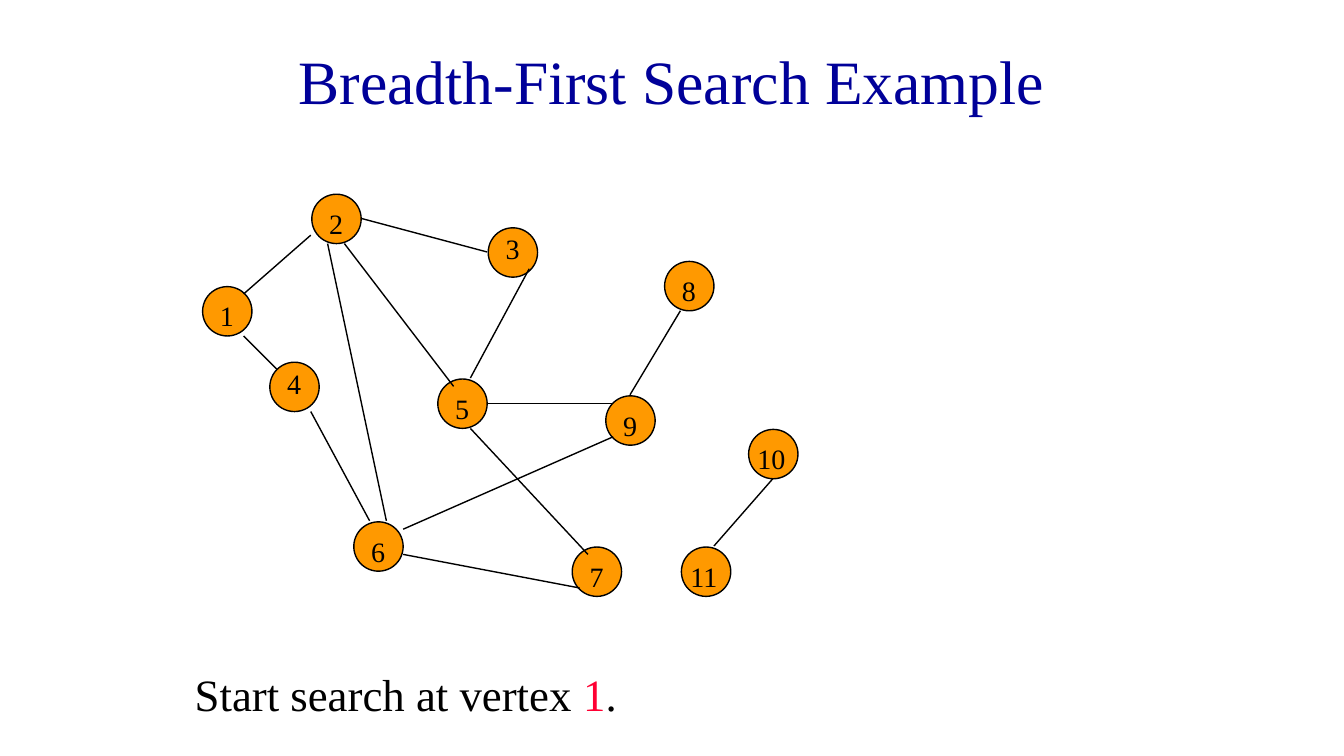
from lxml.etree import SubElement
from pptx import Presentation
from pptx.dml.color import RGBColor
from pptx.enum.shapes import MSO_CONNECTOR, MSO_SHAPE
from pptx.enum.text import MSO_ANCHOR, PP_ALIGN
from pptx.oxml.ns import qn
from pptx.util import Pt

PX = 9525
FONT = "Times New Roman"
BLACK, NAVY, RED, ORANGE = "000000", "000099", "FF0033", "FF9900"

TITLE = [("Breadth-First Search Example", NAVY)]
NOTE = [("Start search at vertex ", BLACK), ("1", RED), (".", BLACK)]

# Vertex: left and top of its cell, label offset, label width
NODES = {
    "1": (192, 272, 8, 8, 24),
    "2": (296, 184, 8, 8, 24),
    "3": (464, 216, 8, 0, 24),
    "8": (632, 248, 8, 8, 24),
    "10": (712, 408, 0, 8, 48),
    "4": (256, 344, 8, 0, 24),
    "5": (416, 360, 8, 8, 24),
    "9": (576, 376, 8, 8, 24),
    "11": (648, 520, 0, 8, 80),
    "6": (336, 496, 8, 8, 24),
    "7": (544, 520, 8, 8, 24),
}
SIZE, EDGE = 47, 1

# Edge ends: x1, y1, x2, y2
LINKS = [
    (296, 224, 232, 280),  # 2-1
    (328, 232, 432, 368),  # 2-5
    (232, 320, 264, 352),  # 1-4
    (296, 392, 352, 496),  # 4-6
    (384, 528, 552, 560),  # 6-7
    (504, 256, 448, 360),  # 3-5
    (448, 408, 560, 528),  # 5-7
    (648, 296, 600, 376),  # 8-9
    (680, 520, 736, 456),  # 11-10
]
TOP_LINKS = [
    (464, 384, 584, 384),  # 5-9
    (344, 208, 464, 240),  # 2-3
    (312, 232, 368, 496),  # 2-6
    (384, 504, 584, 416),  # 6-9
]


def px(*nums):
    return [round(n * PX) for n in nums]


def color(code):
    return RGBColor.from_string(code)


def add_text(runs, box, size=20, align=PP_ALIGN.LEFT, anchor=MSO_ANCHOR.TOP):
    frame = slide.shapes.add_textbox(*px(*box)).text_frame
    frame.word_wrap = True
    frame.vertical_anchor = anchor
    para = frame.paragraphs[0]
    para.alignment = align
    for words, code in runs:
        run = para.add_run()
        run.text = words
        run.font.name = FONT
        run.font.size = Pt(size)
        run.font.color.rgb = color(code)


def add_node(left, top):
    disc = slide.shapes.add_shape(
        MSO_SHAPE.OVAL, *px(left + EDGE, top + EDGE, SIZE, SIZE))
    disc.shadow.inherit = False
    disc.fill.solid()
    disc.fill.fore_color.rgb = color(ORANGE)
    disc.line.color.rgb = color(BLACK)
    disc.line.width = Pt(1)


def add_link(ends):
    link = slide.shapes.add_connector(MSO_CONNECTOR.STRAIGHT, *px(*ends))
    link.line.color.rgb = color(BLACK)
    link.line.width = Pt(1)
    SubElement(link._element.spPr, qn("a:effectLst"))


deck = Presentation()
deck.slide_width, deck.slide_height = px(1280, 720)
slide = deck.slides.add_slide(deck.slide_layouts[6])

# Title and note
add_text(TITLE, (96, 16, 1088, 120), size=44,
         align=PP_ALIGN.CENTER, anchor=MSO_ANCHOR.MIDDLE)
add_text(NOTE, (176, 630, 816, 75), size=32)

# Graph: discs, edges, labels, then the edges on top
for left, top, *_ in NODES.values():
    add_node(left, top)
for ends in LINKS:
    add_link(ends)
for name, (left, top, dx, dy, wide) in NODES.items():
    add_text([(name, BLACK)], (left + dx, top + dy, wide, 42))
for ends in TOP_LINKS:
    add_link(ends)

deck.save("out.pptx")
